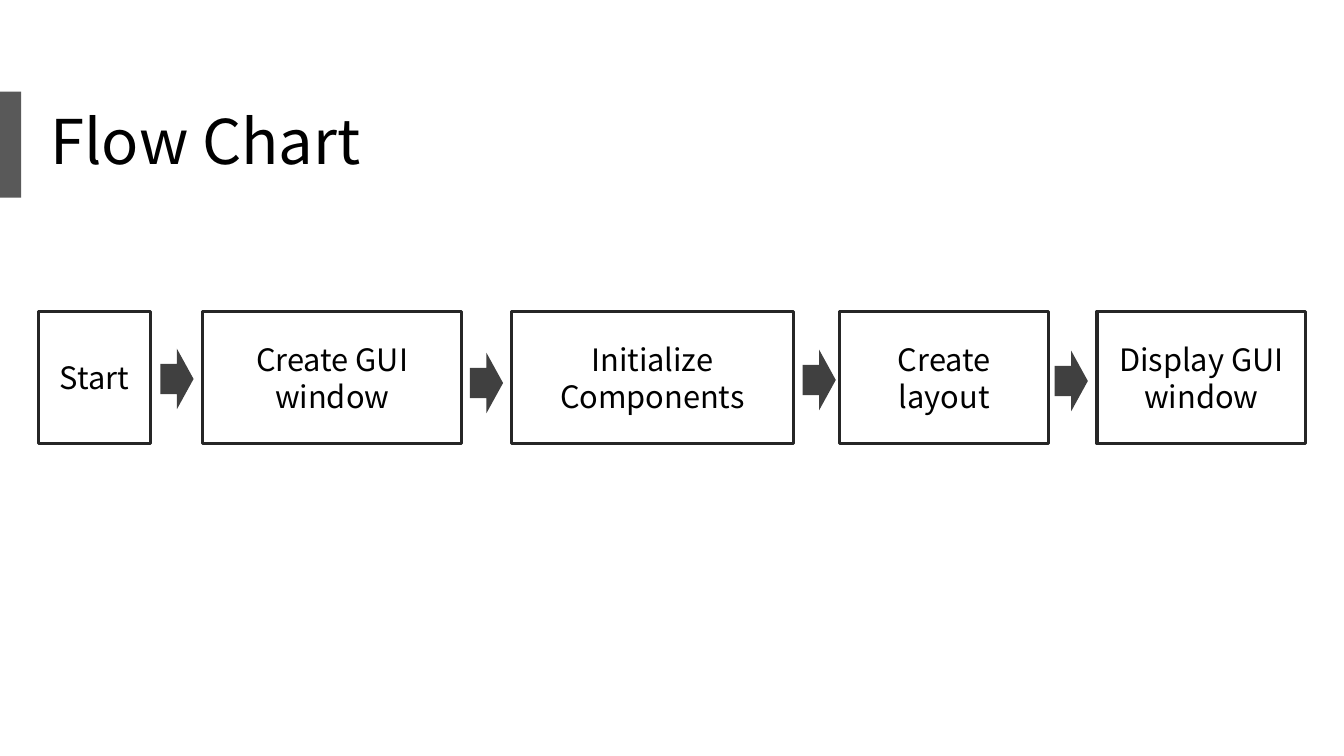
from pptx import Presentation
from pptx.dml.color import RGBColor
from pptx.enum import shapes, text
from pptx.util import Inches, Pt

FONT = "Noto Sans CJK KR"
BLACK = RGBColor(0x00, 0x00, 0x00)
WHITE = RGBColor(0xFF, 0xFF, 0xFF)
OUTLINE = RGBColor(0x26, 0x26, 0x26)
ARROW = RGBColor(0x40, 0x40, 0x40)
ACCENT = RGBColor(0x59, 0x59, 0x59)

STEP_TOP, STEP_HEIGHT = 3.09, 1.31
ARROW_WIDTH, ARROW_HEIGHT = 0.33, 0.6

# Label, left and width of each step
STEPS = [
    ("Start", 0.38, 1.11),
    ("Create GUI window", 2.01, 2.57),
    ("Initialize Components", 5.07, 2.8),
    ("Create layout", 8.33, 2.07),
    ("Display GUI window", 10.88, 2.07),
]
# Left and top of each arrow
ARROWS = [(1.59, 3.46), (4.66, 3.5), (7.96, 3.47), (10.46, 3.48)]


def format_text(frame, size, align):
    frame.word_wrap = True
    frame.vertical_anchor = text.MSO_ANCHOR.MIDDLE
    for para in frame.paragraphs:
        para.alignment = align
        for span in para.runs:
            span.font.name = FONT
            span.font.size = Pt(size)
            span.font.color.rgb = BLACK


def add_filled(parent, kind, left, top, width, height, color):
    shape = parent.add_shape(kind, Inches(left), Inches(top),
                             Inches(width), Inches(height))
    shape.shadow.inherit = False
    shape.fill.solid()
    shape.fill.fore_color.rgb = color
    shape.line.fill.background()
    return shape


def add_title(page, words):
    title = page.shapes.title
    title.left, title.top = Inches(0.4), Inches(0.71)
    title.width, title.height = Inches(10.2), Inches(1.45)
    title.text_frame.text = words
    format_text(title.text_frame, 44, text.PP_ALIGN.LEFT)
    title.text_frame.paragraphs[0].line_spacing = 0.9


def add_step(parent, label, left, width):
    box = add_filled(parent, shapes.MSO_SHAPE.RECTANGLE, left, STEP_TOP,
                     width, STEP_HEIGHT, WHITE)
    box.line.color.rgb = OUTLINE
    box.line.width = Pt(2.25)
    box.text_frame.text = label
    format_text(box.text_frame, 22, text.PP_ALIGN.CENTER)


def main():
    deck = Presentation()
    deck.slide_width, deck.slide_height = Inches(13.33), Inches(7.5)
    page = deck.slides.add_slide(deck.slide_layouts[5])

    # Title with accent bar
    add_title(page, "Flow Chart")
    add_filled(page.shapes, shapes.MSO_SHAPE.RECTANGLE,
               0, 0.91, 0.21, 1.05, ACCENT)

    # Flow of steps and arrows
    flow = page.shapes.add_group_shape().shapes
    for label, left, width in STEPS:
        add_step(flow, label, left, width)
    for left, top in ARROWS:
        add_filled(flow, shapes.MSO_SHAPE.RIGHT_ARROW, left, top,
                   ARROW_WIDTH, ARROW_HEIGHT, ARROW)

    deck.save("out.pptx")


if __name__ == "__main__":
    main()
